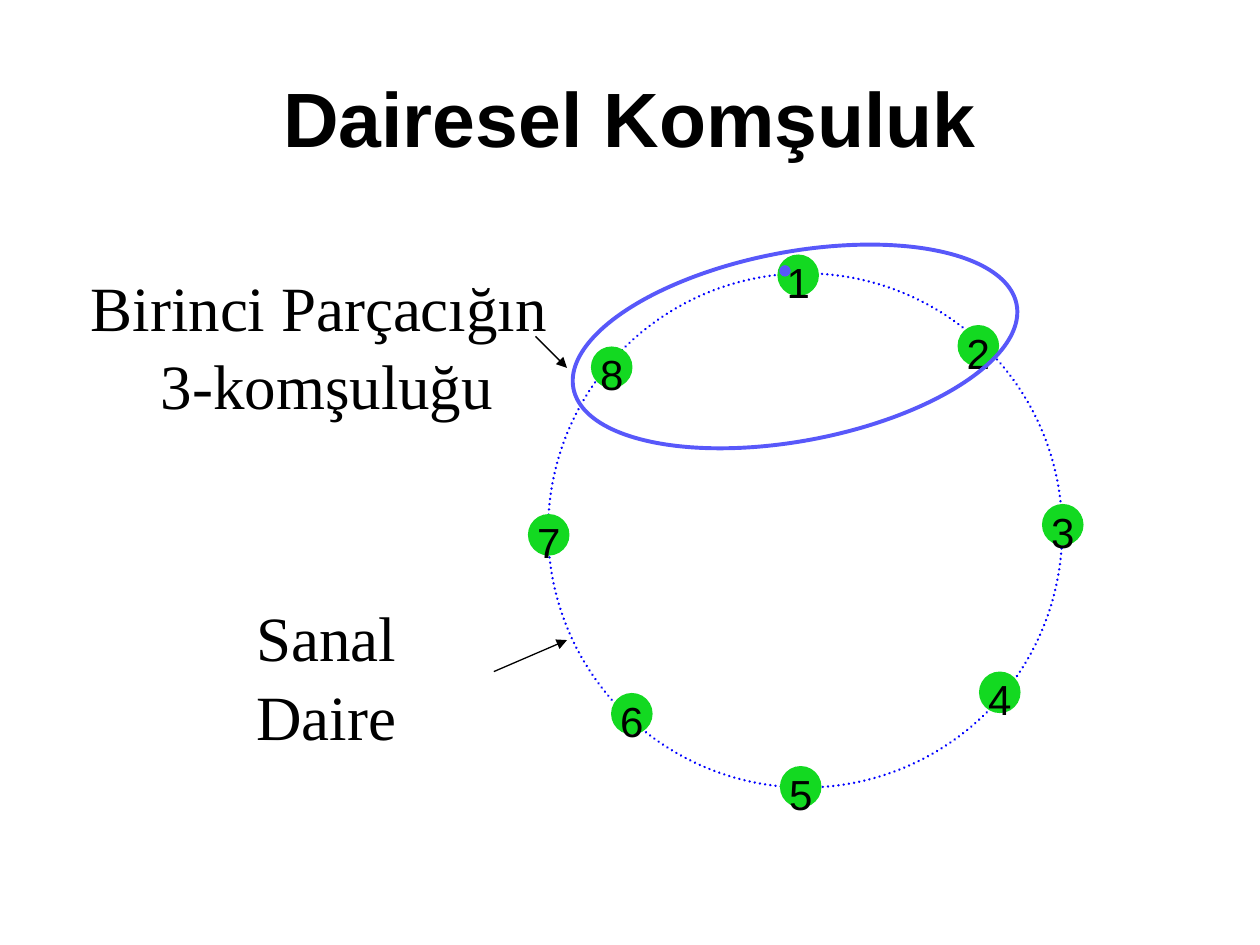
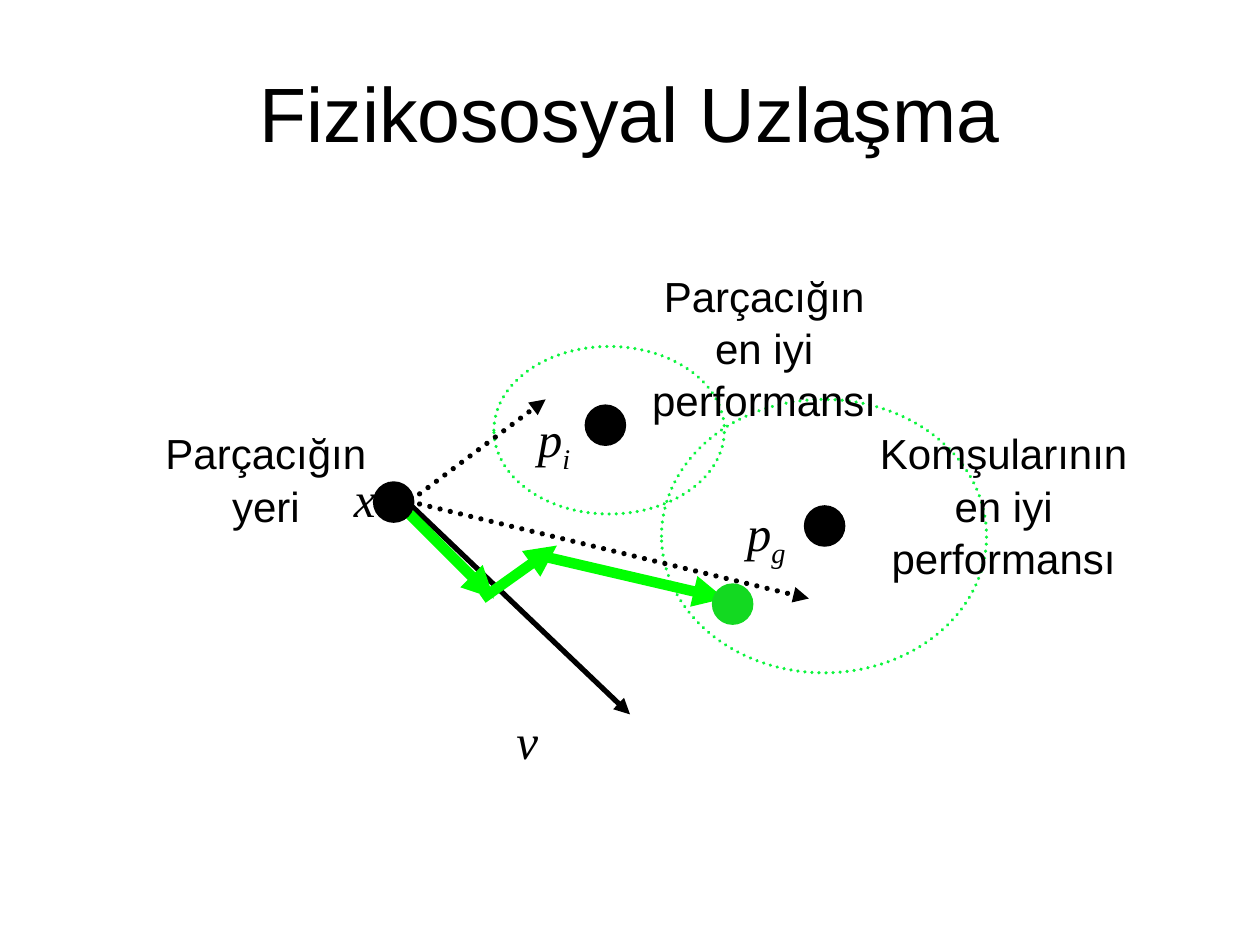
from lxml.etree import SubElement
from pptx import Presentation
from pptx.dml.color import RGBColor
from pptx.enum.dml import MSO_LINE as Dash
from pptx.enum.shapes import MSO_CONNECTOR as Link, MSO_SHAPE as Form
from pptx.enum.text import MSO_ANCHOR as Anchor, MSO_AUTO_SIZE as Fit, PP_ALIGN as Align
from pptx.oxml.ns import qn
from pptx.util import Inches, Pt

BLACK, GREEN, LIME, LEAF = "000000", "13D921", "00FF00", "0BF53D"
BLUE, VIOLET = "0000FF", "5858FA"
SANS, SERIF = "Arial", "Times New Roman"
DOT = 0.33

NODES = [
    ("1", 6.17, 2.02), ("2", 7.6, 2.58), ("3", 8.27, 4), ("4", 7.77, 5.33),
    ("5", 6.19, 6.08), ("6", 4.85, 5.5), ("7", 4.19, 4.08), ("8", 4.69, 2.75),
]
HINTS = [((3.92, 5.33), (4.5, 5.08)), ((4.25, 2.67), (4.5, 2.92))]

ZONES = [(5.25, 3.17, 2.58, 2.17), (3.92, 2.75, 1.83, 1.33)]
NOTES = [
    ("Parçacığın yeri", (1.14, 3.33, 1.94, 0.9)),
    ("Komşularının en iyi performansı", (6.67, 3.33, 2.59, 1.3)),
    ("Parçacığın en iyi performansı", (5, 2.08, 2.13, 1.3)),
]
ARROWS = [
    ((3.25, 4), (5, 5.67), BLACK, 3, False),
    ((3.33, 3.92), (4.33, 3.17), BLACK, 3, True),
    ((3.33, 4), (6.42, 4.75), BLACK, 3, True),
    ((3.25, 4.08), (3.92, 4.75), LIME, 6, False),
    ((3.83, 4.75), (4.42, 4.33), LIME, 6, False),
    ((4.33, 4.42), (5.75, 4.75), LIME, 6, False),
]
SIGNS = [
    ("x", "", (2.71, 3.65, 0.58, 0.57)),
    ("p", "g", (5.83, 3.92, 0.92, 0.63)),
    ("p", "i", (4.17, 3.17, 0.58, 0.63)),
]
POINTS = [
    (2.96, 3.82, BLACK), (6.38, 4.01, BLACK),
    (4.64, 3.21, BLACK), (5.65, 4.63, GREEN),
]


def rgb(code):
    """Turn a hex string into a colour."""
    return RGBColor.from_string(code)


def style(font, name, size, **more):
    """Set the font values."""
    values = {"name": name, "size": Pt(size), "bold": False, "italic": False, **more}
    for key, value in values.items():
        setattr(font, key, value)
    font.color.rgb = rgb(BLACK)


def stroke(line, color, width, dotted=False):
    """Colour a line and dot it if asked."""
    line.color.rgb = rgb(color)
    line.width = Pt(width)
    if dotted:
        line.dash_style = Dash.ROUND_DOT
        line._get_or_add_ln().set("cap", "rnd")


def start(deck, text, box, bold=False):
    """Add a slide with its title."""
    slide = deck.slides.add_slide(deck.slide_layouts[5])
    title = slide.shapes.title
    title.left, title.top, title.width, title.height = map(Inches, box)
    frame = title.text_frame
    frame.text = text
    frame.vertical_anchor = Anchor.MIDDLE
    para = frame.paragraphs[0]
    para.alignment = Align.CENTER
    style(para.runs[0].font, SANS, 44, bold=bold)
    return slide


def oval(slide, box, fill=None, line=None, width=1, dotted=False):
    """Add an ellipse with a fill, a line or both."""
    shape = slide.shapes.add_shape(Form.OVAL, *map(Inches, box))
    shape.shadow.inherit = False
    if fill:
        shape.fill.solid()
        shape.fill.fore_color.rgb = rgb(fill)
    else:
        shape.fill.background()
    if line:
        stroke(shape.line, line, width, dotted)
    else:
        shape.line.fill.background()
    return shape


def label(slide, lines, box, name, size, anchor=Anchor.MIDDLE, wrap=False,
          align=Align.CENTER, sub="", **more):
    """Add a text box, with a subscript if given."""
    frame = slide.shapes.add_textbox(*map(Inches, box)).text_frame
    frame.word_wrap = wrap
    frame.auto_size = Fit.SHAPE_TO_FIT_TEXT
    frame.vertical_anchor = anchor
    for i, line in enumerate(lines):
        para = frame.add_paragraph() if i else frame.paragraphs[0]
        para.alignment = align
        para.line_spacing = 1.04
        for text in filter(None, (line, sub)):
            run = para.add_run()
            run.text = text
            style(run.font, name, size, **more)
    if sub:
        run._r.get_or_add_rPr().set("baseline", "-25000")


def arrow(slide, tail, tip, color=BLACK, width=0.75, dotted=False):
    """Draw a straight arrow."""
    link = slide.shapes.add_connector(Link.STRAIGHT, *map(Inches, tail + tip))
    stroke(link.line, color, width, dotted)
    SubElement(link.line._get_or_add_ln(), qn("a:tailEnd"), type="triangle")
    SubElement(link._element.spPr, qn("a:effectLst"))


def ring(deck):
    """Build the ring slide."""
    slide = start(deck, "Dairesel Komşuluk", (0.5, 0.3, 9, 1.25), bold=True)
    label(slide, ["Sanal Daire"], (1.32, 5, 2.54, 0.7), SERIF, 36)
    oval(slide, (4.35, 2.17, 4.08, 4.08), line=BLUE, width=1.5, dotted=True)
    for _, x, y in NODES:
        oval(slide, (x, y, DOT, DOT), GREEN)
    for text, x, y in NODES:
        label(slide, [text], (x - 0.03, y - 0.04, 0.39, 0.5), SANS, 24)
    oval(slide, (4.52, 2, 3.58, 1.5), line=VIOLET, width=2.25).rotation = 349.3
    label(slide, ["Birinci Parçacığın ", "3-komşuluğu"], (0.51, 2.08, 4.17, 1.3),
          SERIF, 36, wrap=True)
    for tail, tip in HINTS:
        arrow(slide, tail, tip)
    oval(slide, (6.19, 2.11, 0.08, 0.08), VIOLET, VIOLET, 0.75)


def motion(deck):
    """Build the motion slide."""
    slide = start(deck, "Fizikososyal Uzlaşma", (0.5, 0.37, 9, 1.04))
    for box in ZONES:
        oval(slide, box, line=LEAF, width=2, dotted=True)
    for text, box in NOTES:
        label(slide, [text], box, SANS, 24, Anchor.TOP, True)
    for item in ARROWS:
        arrow(slide, *item)
    for text, sub, box in SIGNS:
        label(slide, [text], box, SERIF, 28, Anchor.TOP, True, Align.LEFT, sub, italic=True)
    label(slide, ["v"], (4, 5.58, 0.37, 0.57), SERIF, 28, italic=True)
    for x, y, color in POINTS:
        oval(slide, (x, y, DOT, DOT), color)


def main():
    """Build and save the deck."""
    deck = Presentation()
    deck.slide_width, deck.slide_height = Inches(10), Inches(7.5)
    ring(deck)
    motion(deck)
    deck.save("out.pptx")


if __name__ == "__main__":
    main()
